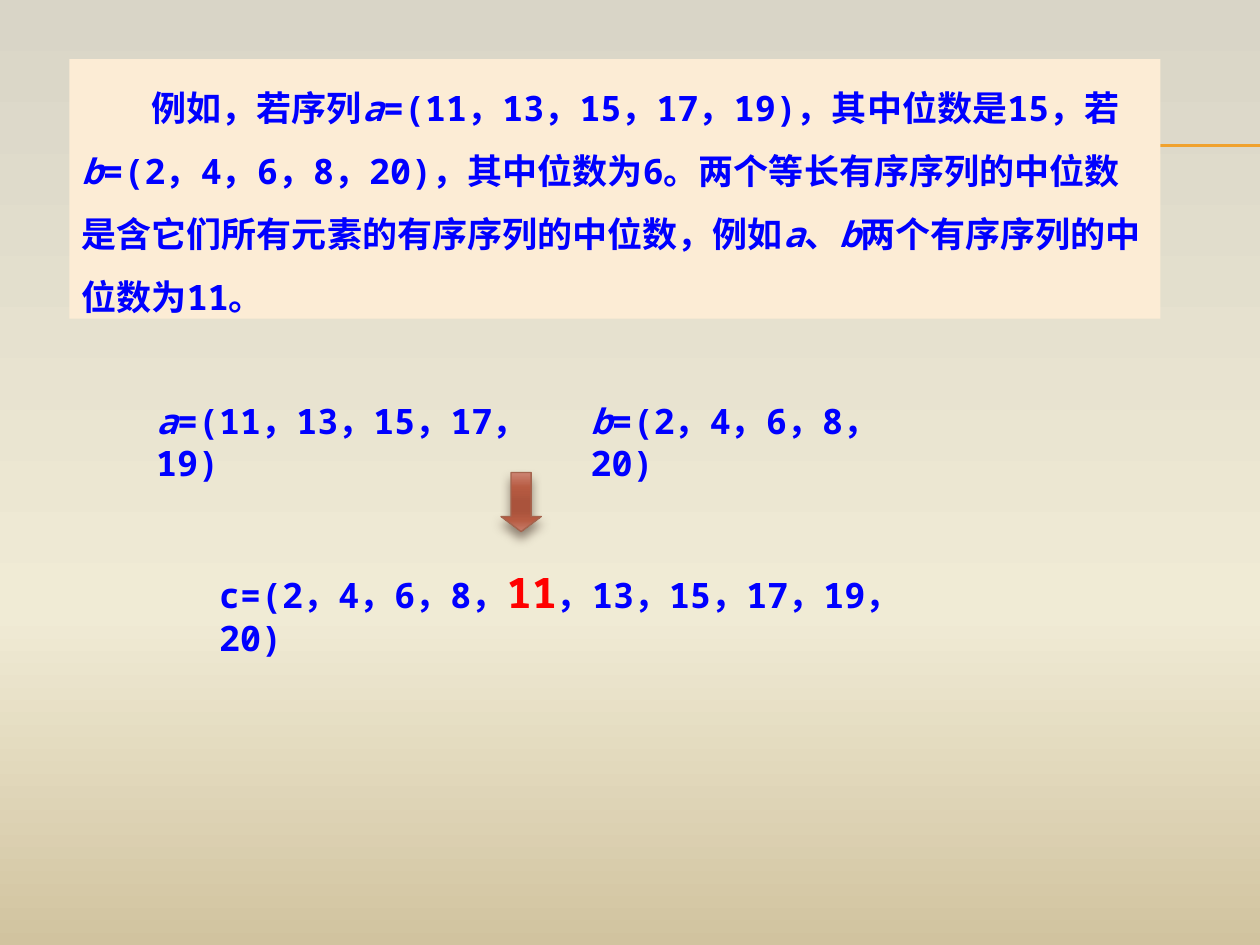
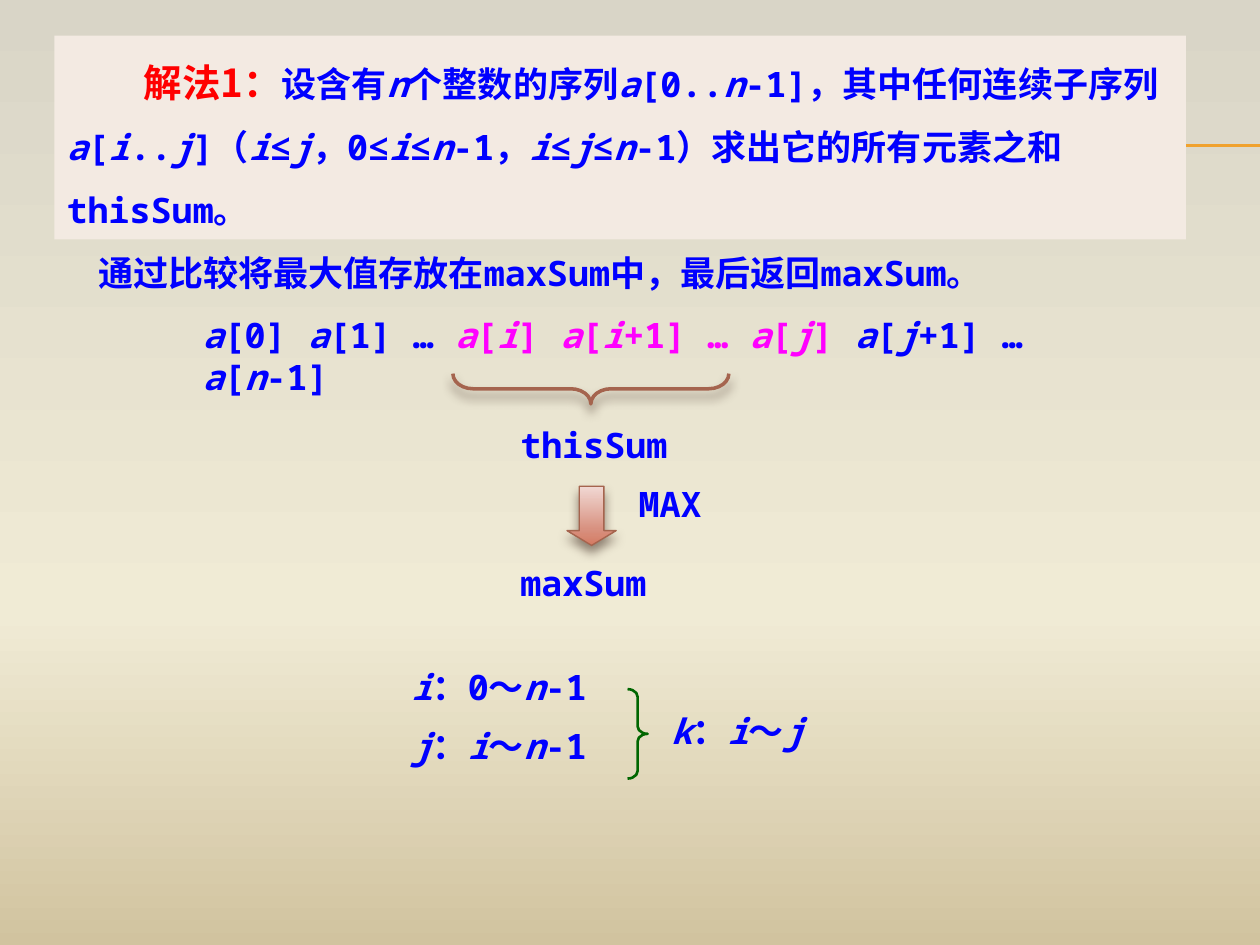
from dataclasses import dataclass
from typing import Any

from lxml import etree
from pptx import Presentation
from pptx.dml.color import RGBColor
from pptx.enum.shapes import MSO_CONNECTOR, MSO_SHAPE
from pptx.enum.text import MSO_ANCHOR, PP_ALIGN
from pptx.oxml.ns import qn
from pptx.util import Pt

RECT = MSO_SHAPE.RECTANGLE
ARROW = MSO_SHAPE.DOWN_ARROW
LEFT_BRACE = MSO_SHAPE.LEFT_BRACE
RIGHT_BRACE = MSO_SHAPE.RIGHT_BRACE
STRAIGHT = MSO_CONNECTOR.STRAIGHT
TOP = MSO_ANCHOR.TOP
LEFT = PP_ALIGN.LEFT

Stops = tuple[tuple[int, str], ...]
Box = tuple[float, float, float, float]


@dataclass(frozen=True)
class Theme:
    mono: str = "Noto Sans Mono"
    han: str = "Noto Sans CJK SC"
    ink: str = "0000FF"
    red: str = "FF0000"
    pink: str = "FF00FF"
    green: str = "006600"
    rust: str = "A5644E"
    gold: str = "F0A22E"
    shade: str = "4E3B30"
    peach: str = "FCECD5"
    blush: str = "F3EAE2"
    size: float = 20
    head: float = 22
    large: float = 24
    pitch: float = 24
    wide: float = 36
    gap: float = 10
    back: Stops = ((0, "D9D5C7"), (65, "F0EBD5"), (100, "D1C39F"))
    dark: Stops = ((0, "CD8473"), (25, "B75B42"), (50, "AA533C"),
                   (65, "AA533C"), (80, "B65B42"), (100, "C77D6B"))
    light: Stops = ((0, "F1D9D4"), (72, "D89180"), (100, "D47A62"))


THEME = Theme()


@dataclass(frozen=True)
class Span:
    text: str
    color: str = THEME.ink
    size: float = THEME.size
    font: str = THEME.mono


@dataclass(frozen=True)
class Para:
    spans: tuple[Span, ...]
    indent: float = 0


@dataclass(frozen=True)
class Note:
    box: Box
    paras: tuple[Para, ...]
    fill: str = ""
    pitch: float = THEME.pitch
    gap: float = 0


@dataclass(frozen=True)
class Mark:
    kind: Any
    box: Box
    adjust: tuple[float, float]
    line: str = THEME.rust
    width: float = 0.79
    stops: Stops = ()
    turn: float = 0
    shadow: bool = True


def put(item: Any, values: dict[str, Any]) -> None:
    for name, value in values.items():
        setattr(item, name, value)


def points(box: Box) -> list[int]:
    return [Pt(side) for side in box]


def tint(parent: Any, color: str) -> Any:
    node = etree.SubElement(parent, qn("a:srgbClr"))
    node.set("val", color)
    return node


def blend(fill: Any, root: Any, stops: Stops) -> None:
    fill.gradient()
    fill.gradient_angle = 270
    rows = next(root.iter(qn("a:gsLst")))
    for old in list(rows):
        rows.remove(old)
    for spot, color in stops:
        stop = etree.SubElement(rows, qn("a:gs"))
        stop.set("pos", str(spot * 1000))
        tint(stop, color)


def cast(shape: Any) -> None:
    effects = next(shape.element.iter(qn("a:effectLst")))
    outer = etree.SubElement(effects, qn("a:outerShdw"))
    values = {"blurRad": Pt(6), "dist": Pt(4), "dir": 90 * 60000, "rotWithShape": 0}
    for name, value in values.items():
        outer.set(name, str(value))
    etree.SubElement(tint(outer, THEME.shade), qn("a:alpha")).set("val", "60000")


def write(para: Any, spans: tuple[Span, ...]) -> None:
    for span in spans:
        for place, text in enumerate(span.text.split("*")):
            if not text:
                continue
            run = para.add_run()
            run.text = text
            put(run.font, {"name": span.font, "size": Pt(span.size),
                           "bold": True, "italic": place % 2 == 1})
            run.font.color.rgb = RGBColor.from_string(span.color)


def add_note(slide: Any, note: Note) -> None:
    if note.fill:
        shape = slide.shapes.add_shape(RECT, *points(note.box))
        shape.shadow.inherit = False
        shape.fill.solid()
        shape.fill.fore_color.rgb = RGBColor.from_string(note.fill)
        shape.line.fill.background()
    else:
        shape = slide.shapes.add_textbox(*points(note.box))
    frame = shape.text_frame
    put(frame, {"word_wrap": True, "vertical_anchor": TOP})
    for place, item in enumerate(note.paras):
        para = frame.add_paragraph() if place else frame.paragraphs[0]
        put(para, {"alignment": LEFT, "line_spacing": Pt(note.pitch),
                   "space_before": Pt(note.gap if place else 0)})
        write(para, item.spans)
    for node, item in zip(shape.element.iter(qn("a:pPr")), note.paras):
        node.set("indent", str(Pt(item.indent)))


def add_mark(slide: Any, mark: Mark) -> None:
    shape = slide.shapes.add_shape(mark.kind, *points(mark.box))
    put(shape, {"rotation": mark.turn})
    for place, value in enumerate(mark.adjust):
        shape.adjustments[place] = value
    if mark.stops:
        blend(shape.fill, shape.element, mark.stops)
    else:
        shape.fill.background()
    shape.line.color.rgb = RGBColor.from_string(mark.line)
    shape.line.width = Pt(mark.width)
    shape.shadow.inherit = False
    if mark.shadow:
        cast(shape)


def dress(deck: Any, slide: Any) -> None:
    master = deck.slide_master
    blend(master.background.fill, master.element, THEME.back)
    for top in (82.8, 83.4):
        rule = slide.shapes.add_connector(STRAIGHT, Pt(40.3), Pt(top), Pt(720), Pt(top))
        rule.line.color.rgb = RGBColor.from_string(THEME.gold)
        rule.line.width = Pt(0.75)
        etree.SubElement(rule.element.spPr, qn("a:effectLst"))
        master.shapes.element.append(rule.element)


def plain(text: str) -> tuple[Para, ...]:
    return (Para((Span(text),)),)


MEDIAN = (
    Note((39.6, 33.8, 623.5, 148.3), (Para((Span(
        "例如，若序列*a*=(11，13，15，17，19)，其中位数是15，若*b*=(2，4，6，8，20)，"
        "其中位数为6。两个等长有序序列的中位数是含它们所有元素的有序序列的中位数，"
        "例如*a*、*b*两个有序序列的中位数为11。"),), 40),),
        THEME.peach, THEME.wide),
    Note((82.1, 224.6, 238.3, 31.7), plain("*a*=(11，13，15，17，19)")),
    Note((330.5, 224.6, 204.5, 31.7), plain("*b*=(2，4，6，8，20)")),
    Mark(ARROW, (286.3, 270, 23, 33.8), (0.5, 0.374), stops=THEME.dark),
    Note((118.1, 325, 427.7, 31.7), (Para((
        Span("c=(2，4，6，8，"),
        Span("11", THEME.red, THEME.large),
        Span("，13，15，17，19，20)"))),)),
)

SUMS = (
    Note((31, 20.4, 646.6, 116.4), (
        Para((
            Span("解法1：", THEME.red, THEME.head, THEME.han),
            Span("设含有*n*个整数的序列*a*[0..*n*-1]，其中任何连续子序列*a*[*i*..*j*]"
                 "（*i*≤*j*，0≤*i*≤*n*-1，*i*≤*j*≤*n*-1）求出它的所有元素之和thisSum。")), 44),
        Para((Span("通过比较将最大值存放在maxSum中，最后返回maxSum。"),), 18)),
        THEME.blush, THEME.wide),
    Note((108.7, 175.7, 532.8, 31.7), (Para((
        Span("*a*[0] *a*[1] … "),
        Span("*a*[*i*] *a*[*i*+1] … *a*[*j*] ", THEME.pink),
        Span("*a*[*j*+1] … *a*[*n*-1]"))),)),
    Mark(LEFT_BRACE, (329, 143.3, 17.3, 157.7), (0.667, 0.5), width=2, turn=270),
    Note((290.2, 238.3, 118.8, 31.7), plain("thisSum")),
    Mark(ARROW, (324, 277.9, 28.1, 33.8), (0.5, 0.301), stops=THEME.light),
    Note((290.2, 317.5, 130.3, 31.7), plain("maxSum")),
    Note((357.8, 272.2, 73.4, 31.7), plain("MAX")),
    Note((228.2, 376.6, 136.1, 67.7),
         plain("*i*：0～*n*-1") + plain("*j*：*i*～*n*-1"), gap=THEME.gap),
    Mark(RIGHT_BRACE, (358.6, 393.8, 11.5, 51.1), (0.374, 0.5),
         THEME.green, 1.5, shadow=False),
    Note((376.6, 401.8, 124.6, 31.7), plain("*k*：*i*～*j*")),
)


def main() -> None:
    deck = Presentation()
    put(deck, {"slide_width": Pt(720), "slide_height": Pt(540)})
    blank = deck.slide_layouts[6]
    for place, items in enumerate((MEDIAN, SUMS)):
        slide = deck.slides.add_slide(blank)
        if not place:
            dress(deck, slide)
        for item in items:
            if isinstance(item, Note):
                add_note(slide, item)
            else:
                add_mark(slide, item)
    deck.save("out.pptx")


if __name__ == "__main__":
    main()
